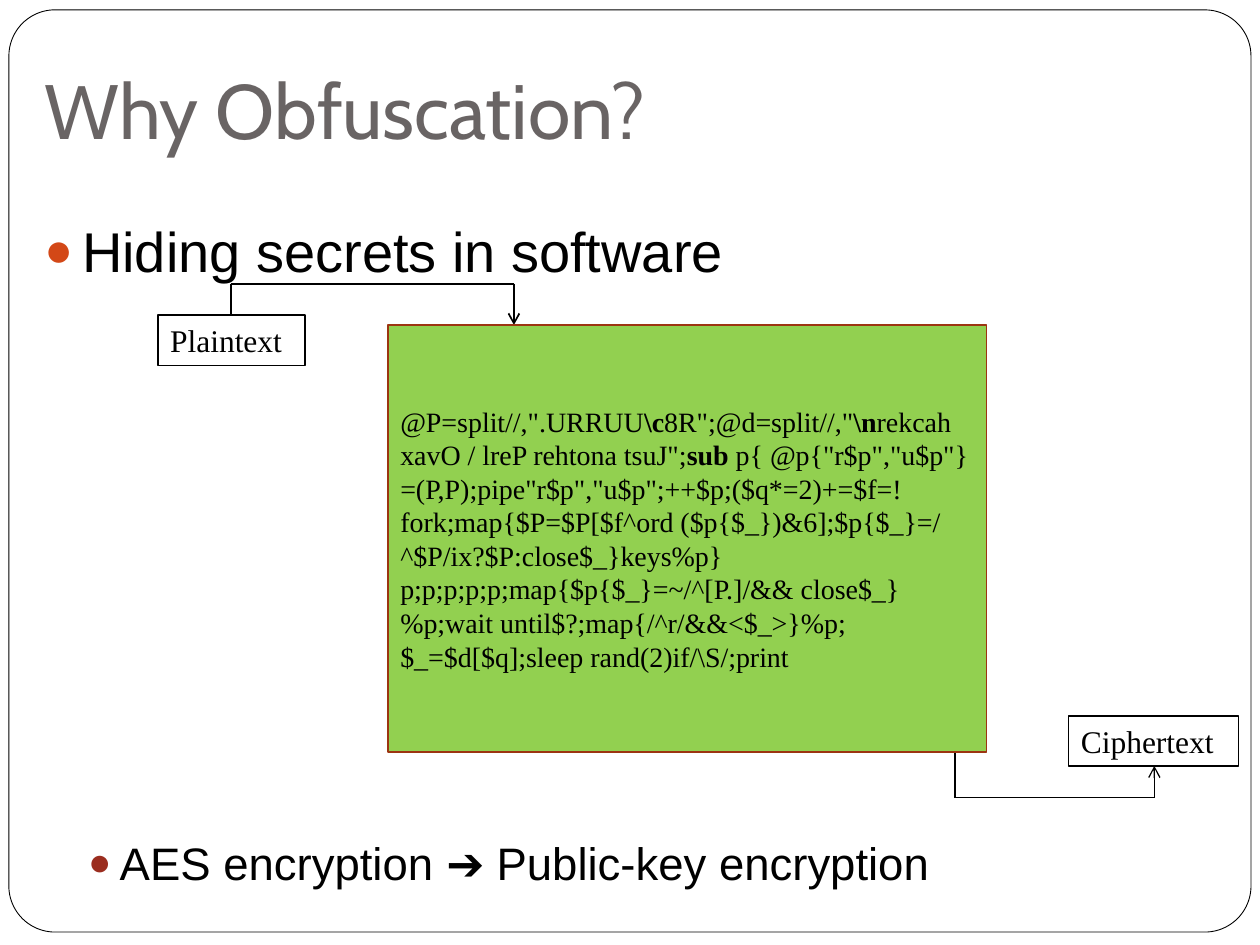
from dataclasses import dataclass
from itertools import pairwise

from lxml import etree
from pptx import Presentation
from pptx.dml.color import RGBColor
from pptx.enum import shapes, text
from pptx.oxml import ns
from pptx.util import Cm, Pt

BLACK = "000000"
SERIF = "Times New Roman"


@dataclass
class Box:
    left: float
    top: float
    width: float
    height: float


@dataclass
class Label:
    caption: str
    box: Box


@dataclass
class Route:
    points: list[tuple[float, float]]
    weight: float


@dataclass
class Bullet:
    caption: str
    level: int
    size: float
    margin: float
    hanging: float
    space_before: float
    color: str


FRAME = Box(0.18, 0.2, 25.04, 18.59)
TITLE = Box(0.64, 0.2, 24.33, 3.18)
BODY = Box(0.64, 4.24, 24.33, 13.54)
CODE = Box(7.82, 6.55, 12.07, 8.61)
LABELS = [
    Label("Plaintext", Box(3.18, 6.35, 2.97, 1.02)),
    Label("Ciphertext", Box(21.54, 14.43, 3.43, 1.02)),
]
ROUTES = [
    Route([(4.65, 6.35), (4.65, 5.72), (10.36, 5.72), (10.36, 6.55)], 1),
    Route([(19.25, 14.71), (19.25, 16.08), (23.27, 16.08), (23.27, 15.44)], 0.75),
]
BULLETS = [
    Bullet("Hiding secrets in software", 0, 32, 0.76, 0.76, 3, "D34817"),
    Bullet("AES encryption ➔ Public-key encryption", 1, 26, 1.52, 0.64, 315, "9B2D1F"),
]
CODE_RUNS = [
    ('@P=split//,".URRUU', False),
    (r"\c", True),
    ('8R";@d=split//,"', False),
    (r"\n", True),
    ('rekcah xavO / lreP rehtona tsuJ";', False),
    ("sub", True),
    (
        ' p{ @p{"r$p","u$p"}=(P,P);pipe"r$p","u$p";++$p;($q*=2)+=$f=!fork;'
        "map{$P=$P[$f^ord ($p{$_})&6];$p{$_}=/ ^$P/ix?$P:close$_}keys%p}"
        "p;p;p;p;p;map{$p{$_}=~/^[P.]/&& close$_}%p;wait until$?;"
        r"map{/^r/&&<$_>}%p;$_=$d[$q];sleep rand(2)if/\S/;print",
        False,
    ),
]


def rgb(value: str) -> RGBColor:
    return RGBColor.from_string(value)


def place(shape, box: Box) -> None:
    shape.left, shape.top = Cm(box.left), Cm(box.top)
    shape.width, shape.height = Cm(box.width), Cm(box.height)


def set_font(paragraph, name: str, size: float, color: str) -> None:
    paragraph.font.name = name
    paragraph.font.size = Pt(size)
    paragraph.font.color.rgb = rgb(color)


def add_box(slide, kind, box: Box, fill: str | None, line: str, weight: float):
    shape = slide.shapes.add_shape(
        kind, Cm(box.left), Cm(box.top), Cm(box.width), Cm(box.height)
    )
    shape.shadow.inherit = False
    if fill:
        shape.fill.solid()
        shape.fill.fore_color.rgb = rgb(fill)
    else:
        shape.fill.background()
    shape.line.color.rgb = rgb(line)
    shape.line.width = Pt(weight)
    return shape


def add_frame(slide) -> None:
    frame = add_box(
        slide, shapes.MSO_SHAPE.ROUNDED_RECTANGLE, FRAME, "FFFFFF", BLACK, 0.5
    )
    frame.adjustments[0] = 0.05
    slide.shapes._spTree.insert(2, frame._element)


def fill_title(slide) -> None:
    title = slide.shapes.title
    place(title, TITLE)
    frame = title.text_frame
    frame.text = "Why Obfuscation?"
    frame.vertical_anchor = text.MSO_ANCHOR.BOTTOM
    frame.margin_bottom = Cm(0.25)
    frame.auto_size = text.MSO_AUTO_SIZE.NONE
    paragraph = frame.paragraphs[0]
    paragraph.alignment = text.PP_ALIGN.LEFT
    set_font(paragraph, "Cabin", 44, "696464")


def add_bullet(paragraph, bullet: Bullet) -> None:
    paragraph.text = bullet.caption
    paragraph.level = bullet.level
    paragraph.space_before = Pt(bullet.space_before)
    properties = paragraph._p.get_or_add_pPr()
    properties.set("marL", str(Cm(bullet.margin)))
    properties.set("indent", str(-Cm(bullet.hanging)))
    color = etree.SubElement(properties, ns.qn("a:buClr"))
    etree.SubElement(color, ns.qn("a:srgbClr"), val=bullet.color)
    etree.SubElement(properties, ns.qn("a:buSzPct"), val="85000")
    etree.SubElement(properties, ns.qn("a:buFont"), typeface="Arial")
    etree.SubElement(properties, ns.qn("a:buChar"), char="●")
    set_font(paragraph, "Arial", bullet.size, BLACK)


def fill_body(slide) -> None:
    body = slide.placeholders[1]
    place(body, BODY)
    frame = body.text_frame
    frame.auto_size = text.MSO_AUTO_SIZE.NONE
    for index, bullet in enumerate(BULLETS):
        paragraph = frame.add_paragraph() if index else frame.paragraphs[0]
        add_bullet(paragraph, bullet)


def add_label(slide, label: Label) -> None:
    shape = add_box(slide, shapes.MSO_SHAPE.RECTANGLE, label.box, None, BLACK, 1)
    frame = shape.text_frame
    frame.word_wrap = False
    frame.text = label.caption
    frame.vertical_anchor = text.MSO_ANCHOR.TOP
    paragraph = frame.paragraphs[0]
    paragraph.alignment = text.PP_ALIGN.LEFT
    set_font(paragraph, SERIF, 18, BLACK)


def add_route(slide, route: Route) -> None:
    for start, end in pairwise(route.points):
        line = slide.shapes.add_connector(
            shapes.MSO_CONNECTOR.STRAIGHT, *map(Cm, start + end)
        )
        line.line.color.rgb = rgb(BLACK)
        line.line.width = Pt(route.weight)
        etree.SubElement(line._element.spPr, ns.qn("a:effectLst"))
    etree.SubElement(line.line._get_or_add_ln(), ns.qn("a:tailEnd"), type="arrow")


def add_code(slide) -> None:
    shape = add_box(slide, shapes.MSO_SHAPE.RECTANGLE, CODE, "92D050", "9C3511", 1)
    frame = shape.text_frame
    frame.word_wrap = True
    frame.vertical_anchor = text.MSO_ANCHOR.MIDDLE
    paragraph = frame.paragraphs[0]
    paragraph.alignment = text.PP_ALIGN.LEFT
    set_font(paragraph, SERIF, 16, BLACK)
    for content, bold in CODE_RUNS:
        run = paragraph.add_run()
        run.text = content
        run.font.bold = bold


def main() -> None:
    presentation = Presentation()
    presentation.slide_width, presentation.slide_height = Cm(25.4), Cm(19.05)
    slide = presentation.slides.add_slide(presentation.slide_layouts[1])
    add_frame(slide)
    fill_title(slide)
    fill_body(slide)
    for label, route in zip(LABELS, ROUTES):
        add_label(slide, label)
        add_route(slide, route)
    add_code(slide)
    presentation.save("out.pptx")


if __name__ == "__main__":
    main()
